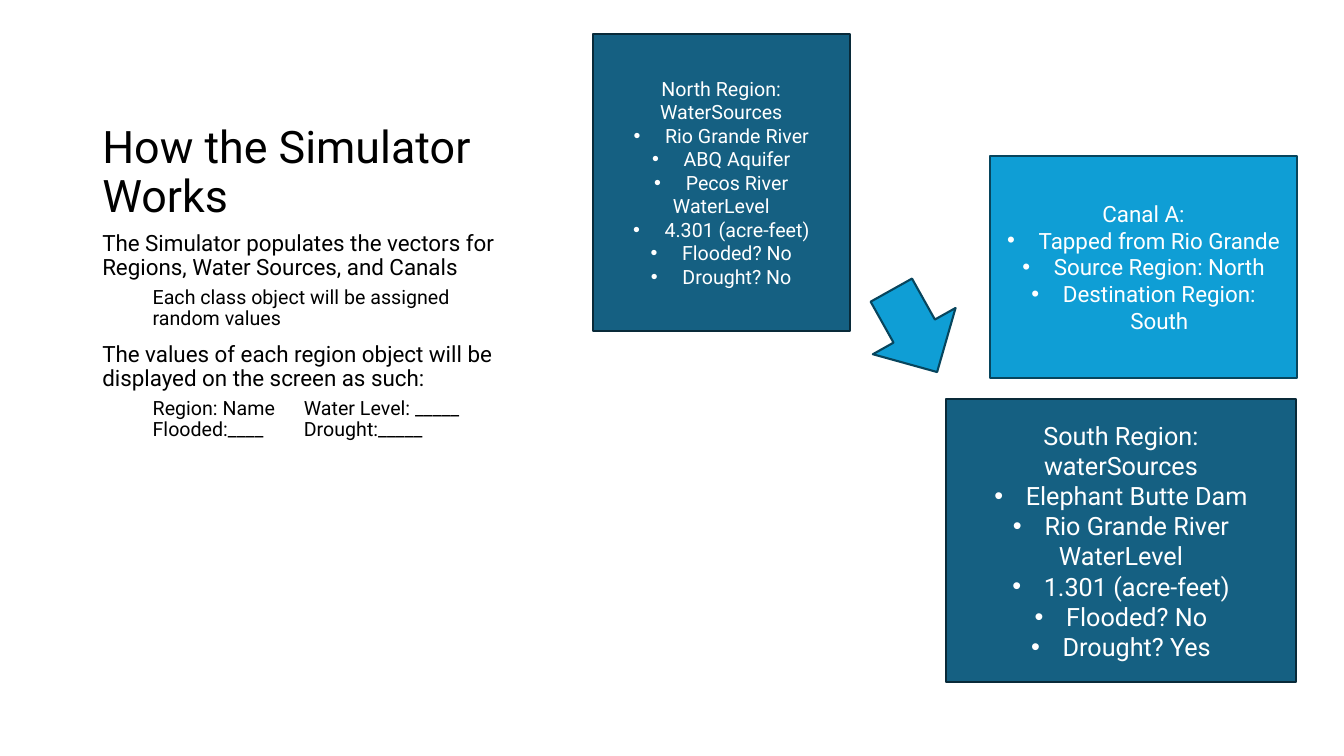
from lxml.etree import SubElement
from pptx import Presentation
from pptx.dml.color import RGBColor
from pptx.enum.shapes import MSO_SHAPE
from pptx.enum.text import MSO_ANCHOR, PP_ALIGN
from pptx.oxml.ns import qn
from pptx.util import Pt

BLACK = RGBColor(0x00, 0x00, 0x00)
WHITE = RGBColor(0xFF, 0xFF, 0xFF)
REGION = RGBColor(0x15, 0x60, 0x82)
REGION_EDGE = RGBColor(0x09, 0x2A, 0x39)
CANAL = RGBColor(0x0F, 0x9E, 0xD5)
CANAL_EDGE = RGBColor(0x07, 0x45, 0x5D)


class SlideBuilder:
    font = "Roboto"
    bullet_indent = Pt(22.5)
    level_indent = Pt(36)
    edge_width = Pt(1.5)

    def __init__(self, slide):
        self.slide = slide

    def fill_paragraph(self, p, text, size, color):
        p.text = text
        for r in p.runs:
            r.font.name = self.font
            r.font.size = Pt(size)
            r.font.color.rgb = color

    def paragraphs(self, tf, count):
        return [tf.paragraphs[0]] + [tf.add_paragraph() for _ in range(count - 1)]

    def text(self, box, lines, anchor=MSO_ANCHOR.TOP):
        tf = self.slide.shapes.add_textbox(*map(Pt, box)).text_frame
        tf.word_wrap = True
        tf.vertical_anchor = anchor
        for p, (text, size, before, level) in zip(self.paragraphs(tf, len(lines)), lines):
            self.fill_paragraph(p, text, size, BLACK)
            p.line_spacing = 0.9
            p.space_before = Pt(before)
            if level:
                p.level = level
                pPr = p._p.get_or_add_pPr()
                pPr.set("marL", str(level * self.level_indent))
                pPr.set("indent", "0")

    def shape(self, kind, box, fill, edge):
        sp = self.slide.shapes.add_shape(kind, *map(Pt, box))
        sp.shadow.inherit = False
        sp.fill.solid()
        sp.fill.fore_color.rgb = fill
        sp.line.color.rgb = edge
        sp.line.width = self.edge_width
        return sp

    def bullet(self, p):
        pPr = p._p.get_or_add_pPr()
        pPr.set("marL", str(self.bullet_indent))
        pPr.set("indent", str(-self.bullet_indent))
        SubElement(pPr, qn("a:buFont")).set("typeface", "Arial")
        SubElement(pPr, qn("a:buChar")).set("char", "•")

    def card(self, box, fill, edge, size, groups):
        tf = self.shape(MSO_SHAPE.RECTANGLE, box, fill, edge).text_frame
        tf.word_wrap = True
        tf.vertical_anchor = MSO_ANCHOR.MIDDLE
        lines = []
        for headings, items in groups:
            lines += [(text, False) for text in headings]
            lines += [(text, True) for text in items]
        for p, (text, bulleted) in zip(self.paragraphs(tf, len(lines)), lines):
            self.fill_paragraph(p, text, size, WHITE)
            p.alignment = PP_ALIGN.CENTER
            if bulleted:
                self.bullet(p)

    def arrow(self, box, rotation, fill, edge):
        sp = self.shape(MSO_SHAPE.DOWN_ARROW, box, fill, edge)
        sp.rotation = rotation


def main():
    prs = Presentation()
    prs.slide_width, prs.slide_height = Pt(960), Pt(540)
    s = SlideBuilder(prs.slides.add_slide(prs.slide_layouts[6]))

    s.text((66, 36, 309.6, 126), [("How the Simulator Works", 32, 0, 0)], MSO_ANCHOR.BOTTOM)
    s.text((66, 162, 309.6, 300), [
        ("The Simulator populates the vectors for Regions, Water Sources, and Canals", 16, 10, 0),
        ("Each class object will be assigned random values", 14, 5, 1),
        ("The values of each region object will be displayed on the screen as such:", 16, 10, 0),
        ("Region: Name \tWater Level: _____\tFlooded:____ \tDrought:_____", 14, 5, 1),
    ])

    s.card((423.4, 24.5, 183.6, 211.7), REGION, REGION_EDGE, 14, [
        (["North Region:", "WaterSources"], ["Rio Grande River", "ABQ Aquifer", "Pecos River"]),
        (["WaterLevel"], ["4.301 (acre-feet)", "Flooded? No", "Drought? No"]),
    ])
    s.card((675.4, 285.1, 250.6, 202.3), REGION, REGION_EDGE, 18, [
        (["South Region:", "waterSources"], ["Elephant Butte Dam", "Rio Grande River"]),
        (["WaterLevel"], ["1.301 (acre-feet)", "Flooded? No", "Drought? Yes"]),
    ])
    s.arrow((619.2, 203, 67.7, 67), 330.8, CANAL, CANAL_EDGE)
    s.card((707.4, 111.4, 218.9, 158.6), CANAL, CANAL_EDGE, 16, [
        (["Canal A:"], ["Tapped from Rio Grande", "Source Region: North",
                        "Destination Region: South"]),
    ])

    prs.save("out.pptx")


if __name__ == "__main__":
    main()
